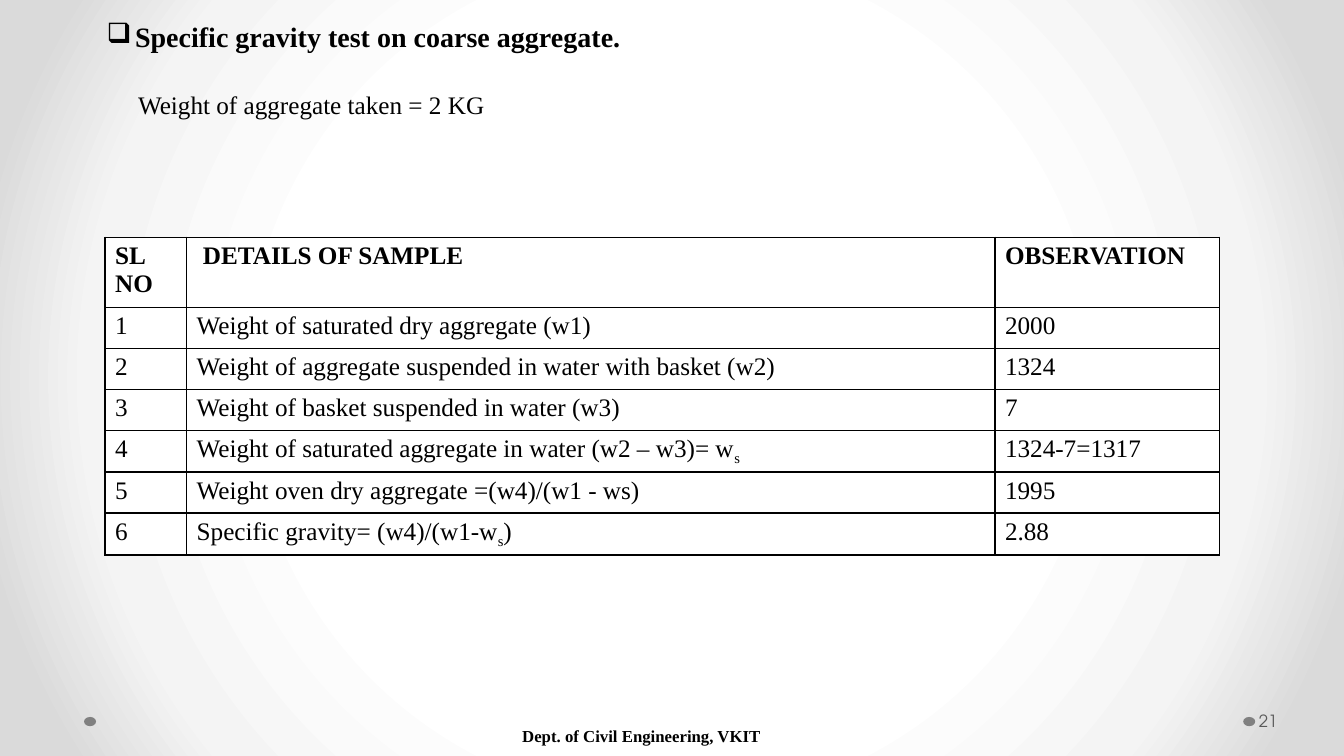
from lxml import etree
from pptx import Presentation
from pptx import util as u
from pptx.dml.color import RGBColor
from pptx.enum import shapes, text
from pptx.oxml import ns

COLORS = {"ink": "000000", "cell": "FFFFFF", "dot": "808080", "number": "595959",
          "center": "FFFFFF", "middle": "F4F4F4", "edge": "DADADA"}
SERIF = "Times New Roman"
SANS = "TeX Gyre Adventor"

HEADERS = ["SL NO", "DETAILS OF SAMPLE", "OBSERVATION"]
# Text between underscores is set as subscript
OBSERVATIONS = [
    ("Weight of saturated dry aggregate (w1)", "2000"),
    ("Weight of aggregate suspended in water with basket (w2)", "1324"),
    ("Weight of basket suspended in water (w3)", "7"),
    ("Weight of saturated aggregate in water (w2 – w3)= w_s_", "1324-7=1317"),
    ("Weight oven dry aggregate =(w4)/(w1 - ws)", "1995"),
    ("Specific gravity= (w4)/(w1-w_s_)", "2.88"),
]


def add_xml(parent, tag, **attributes):
    element = etree.SubElement(parent, ns.qn(tag))
    for name, value in attributes.items():
        element.set(name, str(value))
    return element


def write(frame, content, size=18, font=SERIF, color="ink", bold=False,
          bullet=None, hanging=0, anchor=None, margins=None):
    """Fill a text frame with one left-aligned paragraph."""
    if anchor is not None:
        frame.word_wrap = True
        frame.auto_size = text.MSO_AUTO_SIZE.NONE
        frame.vertical_anchor = anchor
    if margins:
        (frame.margin_left, frame.margin_top,
         frame.margin_right, frame.margin_bottom) = [u.Pt(m) for m in margins]
    paragraph = frame.paragraphs[0]
    paragraph.alignment = text.PP_ALIGN.LEFT
    paragraph.space_before = u.Pt(0)
    properties = paragraph._p.get_or_add_pPr()
    properties.set("marL", str(u.Pt(hanging)))
    properties.set("indent", str(-u.Pt(hanging)))
    if bullet:
        add_xml(properties, "a:buChar", char=bullet)
    else:
        add_xml(properties, "a:buNone")
    for index, part in enumerate(content.split("_")):
        if not part:
            continue
        run = paragraph.add_run()
        run.text = part
        run.font.size = u.Pt(size)
        run.font.name = font
        run.font.bold = bold
        run.font.color.rgb = RGBColor.from_string(COLORS[color])
        if index % 2:
            run.font._element.set("baseline", "-25000")


def place(shape, left, top, width, height):
    shape.left, shape.top = u.Pt(left), u.Pt(top)
    shape.width, shape.height = u.Pt(width), u.Pt(height)


def paint_background(slide):
    fill = slide.background.fill
    fill.gradient()
    gradient = fill._fill._gradFill
    for child in list(gradient):
        gradient.remove(child)
    stops = add_xml(gradient, "a:gsLst")
    for position, name in ((50, "center"), (76, "middle"), (92, "edge")):
        stop = add_xml(stops, "a:gs", pos=position * 1000)
        add_xml(stop, "a:srgbClr", val=COLORS[name])
    circle = add_xml(gradient, "a:path", path="circle")
    add_xml(circle, "a:fillToRect", l=50000, t=50000, r=50000, b=50000)


def add_heading(slide, left, top, width):
    title, body = slide.shapes.title, slide.placeholders[1]
    place(title, left, top, width, 32)
    write(title.text_frame, "Specific gravity test on coarse aggregate.", size=20,
          bold=True, bullet="❑", hanging=20.3, anchor=text.MSO_ANCHOR.TOP)
    place(body, left + 22.4, top + 50, width - 22.4, 30)
    write(body.text_frame, "Weight of aggregate taken = 2 KG",
          anchor=text.MSO_ANCHOR.TOP)


def format_cell(cell):
    cell.fill.solid()
    cell.fill.fore_color.rgb = RGBColor.from_string(COLORS["cell"])
    properties = cell._tc.get_or_add_tcPr()
    for index, side in enumerate(("a:lnL", "a:lnR", "a:lnT", "a:lnB")):
        line = etree.Element(ns.qn(side), w=str(u.Pt(1)))
        add_xml(add_xml(line, "a:solidFill"), "a:srgbClr", val=COLORS["ink"])
        properties.insert(index, line)


def add_observation_table(slide, left, top, widths):
    rows = [HEADERS] + [(str(number), *row)
                        for number, row in enumerate(OBSERVATIONS, 1)]
    heights = [50] + [29.3] * len(OBSERVATIONS)
    table = slide.shapes.add_table(len(rows), len(widths), u.Pt(left), u.Pt(top),
                                   u.Pt(sum(widths)), u.Pt(sum(heights))).table
    table.horz_banding = False
    for column, width in zip(table.columns, widths):
        column.width = u.Pt(width)
    for row_index, values in enumerate(rows):
        table.rows[row_index].height = u.Pt(heights[row_index])
        for column_index, value in enumerate(values):
            cell = table.cell(row_index, column_index)
            write(cell.text_frame, value, bold=row_index == 0)
            format_cell(cell)
    table.cell(0, 1).margin_left = u.Pt(11.7)


def add_footer(slide, top):
    # Dots at both ends
    for left in (60, 888):
        dot = slide.shapes.add_shape(shapes.MSO_SHAPE.OVAL, u.Pt(left),
                                     u.Pt(top + 11.7), u.Pt(8.6), u.Pt(6.6))
        dot.shadow.inherit = False
        dot.fill.solid()
        dot.fill.fore_color.rgb = RGBColor.from_string(COLORS["dot"])
        dot.line.fill.background()
    # Department and slide number
    department = slide.shapes.add_textbox(u.Pt(369.4), u.Pt(top + 11),
                                          u.Pt(298.8), u.Pt(28.8))
    write(department.text_frame, "Dept. of Civil Engineering, VKIT", size=12, bold=True,
          anchor=text.MSO_ANCHOR.MIDDLE, margins=(3.6, 3.6, 7.2, 3.6))
    number = slide.shapes.add_textbox(u.Pt(897), u.Pt(top), u.Pt(59), u.Pt(28.8))
    write(number.text_frame, "21", size=12, font=SANS, color="number",
          anchor=text.MSO_ANCHOR.MIDDLE, margins=(2.2, 3.6, 3.6, 3.6))


def main():
    presentation = Presentation()
    presentation.slide_width, presentation.slide_height = u.Pt(960), u.Pt(540)
    slide = presentation.slides.add_slide(presentation.slide_layouts[1])
    paint_background(slide)
    add_footer(slide, top=500.4)
    add_heading(slide, left=69, top=10.5, width=420)
    add_observation_table(slide, left=75, top=169.4, widths=[58.3, 577.4, 160.6])
    presentation.save("out.pptx")


if __name__ == "__main__":
    main()
